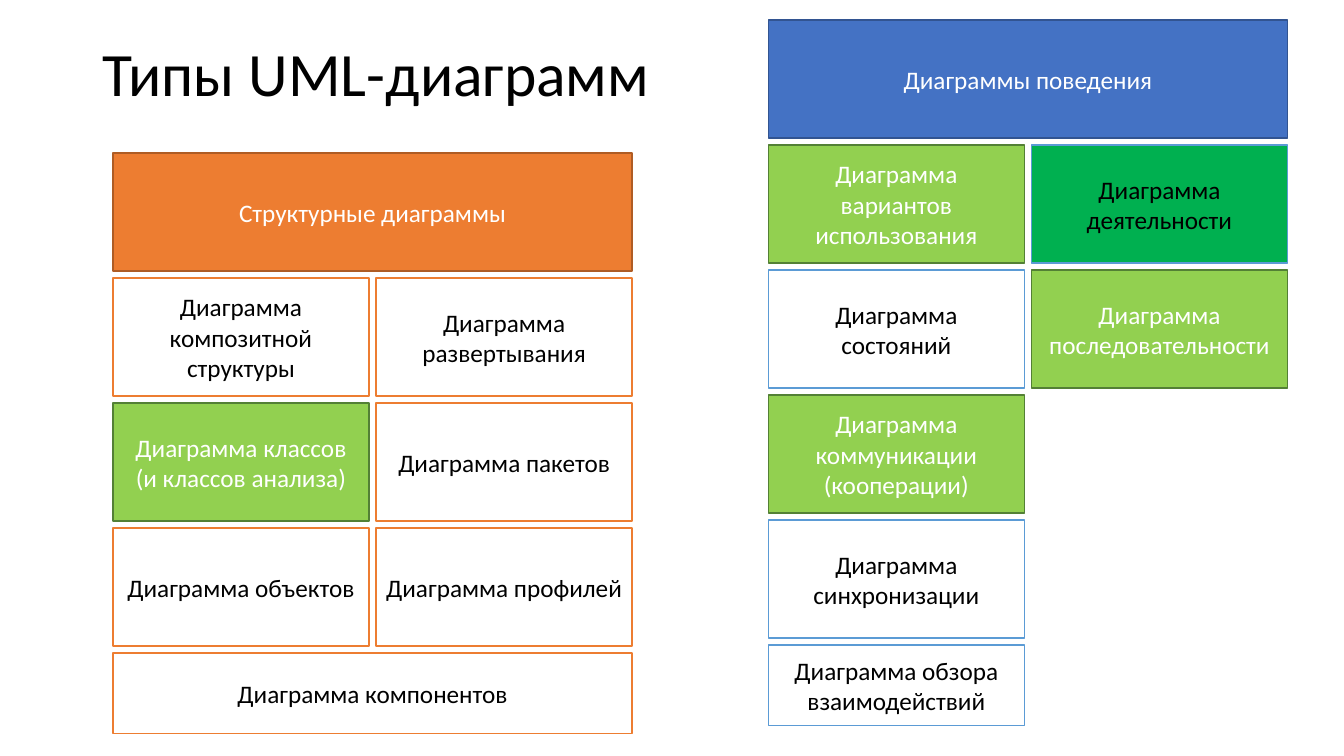
import pptx
import pptx.util
from pptx.dml.color import RGBColor
from pptx.enum.shapes import MSO_SHAPE
from pptx.enum.text import MSO_ANCHOR, MSO_AUTO_SIZE, PP_ALIGN

Inches = pptx.util.Inches
Pt = pptx.util.Pt

FONT = "Calibri"
BLACK = RGBColor(0x00, 0x00, 0x00)
WHITE = RGBColor(0xFF, 0xFF, 0xFF)
ORANGE = RGBColor(0xED, 0x7D, 0x31)
DARK_ORANGE = RGBColor(0xAF, 0x5C, 0x24)
BLUE = RGBColor(0x44, 0x72, 0xC4)
DARK_BLUE = RGBColor(0x32, 0x54, 0x91)
LIGHT_BLUE = RGBColor(0x5B, 0x9B, 0xD5)
LIME = RGBColor(0x92, 0xD0, 0x50)
DARK_LIME = RGBColor(0x53, 0x80, 0x35)
GREEN = RGBColor(0x00, 0xB0, 0x50)

# Box styles: fill, outline, text
STRUCTURE_HEADER = (ORANGE, DARK_ORANGE, WHITE)
STRUCTURE = (WHITE, ORANGE, BLACK)
BEHAVIOR_HEADER = (BLUE, DARK_BLUE, WHITE)
BEHAVIOR = (WHITE, LIGHT_BLUE, BLACK)
ACTIVITY = (GREEN, LIGHT_BLUE, BLACK)
HIGHLIGHT = (LIME, DARK_LIME, WHITE)

# Grid in inches
CELL_WIDTH = 2.54
ROW_HEIGHT = 1.17
LAST_ROW_HEIGHT = 0.8
GAP = 0.07

# Each row lists its boxes as (text, style, columns spanned)
STRUCTURE_ROWS = [
    [("Структурные диаграммы", STRUCTURE_HEADER, 2)],
    [("Диаграмма композитной структуры", STRUCTURE, 1),
     ("Диаграмма развертывания", STRUCTURE, 1)],
    [("Диаграмма классов (и классов анализа)", HIGHLIGHT, 1),
     ("Диаграмма пакетов", STRUCTURE, 1)],
    [("Диаграмма объектов", STRUCTURE, 1),
     ("Диаграмма профилей", STRUCTURE, 1)],
    [("Диаграмма компонентов", STRUCTURE, 2)],
]
BEHAVIOR_ROWS = [
    [("Диаграммы поведения", BEHAVIOR_HEADER, 2)],
    [("Диаграмма вариантов использования", HIGHLIGHT, 1),
     ("Диаграмма деятельности", ACTIVITY, 1)],
    [("Диаграмма состояний", BEHAVIOR, 1),
     ("Диаграмма последовательности", HIGHLIGHT, 1)],
    [("Диаграмма коммуникации (кооперации)", HIGHLIGHT, 1)],
    [("Диаграмма синхронизации", BEHAVIOR, 1)],
    [("Диаграмма обзора взаимодействий", BEHAVIOR, 1)],
]


def format_paragraph(paragraph, size, color, alignment):
    paragraph.alignment = alignment
    paragraph.font.name = FONT
    paragraph.font.size = Pt(size)
    paragraph.font.color.rgb = color


def add_title(slide, left, top, width, height):
    title = slide.shapes.title
    title.left, title.top = Inches(left), Inches(top)
    title.width, title.height = Inches(width), Inches(height)
    frame = title.text_frame
    frame.text = "Типы UML-диаграмм"
    frame.auto_size = MSO_AUTO_SIZE.NONE
    frame.vertical_anchor = MSO_ANCHOR.MIDDLE
    heading = frame.paragraphs[0]
    heading.line_spacing = 0.9
    format_paragraph(heading, 44, BLACK, PP_ALIGN.LEFT)


def add_diagram_box(slide, left, top, width, height, text, style):
    fill, outline, text_color = style
    box = slide.shapes.add_shape(
        MSO_SHAPE.RECTANGLE,
        Inches(left), Inches(top), Inches(width), Inches(height))
    box.shadow.inherit = False
    box.fill.solid()
    box.fill.fore_color.rgb = fill
    box.line.color.rgb = outline
    box.line.width = Pt(1)
    frame = box.text_frame
    frame.word_wrap = True
    frame.vertical_anchor = MSO_ANCHOR.MIDDLE
    frame.text = text
    format_paragraph(frame.paragraphs[0], 18, text_color, PP_ALIGN.CENTER)


def add_diagram_group(slide, left, top, rows):
    """Stack the rows from the given corner; the last row is lower."""
    for row_index, row in enumerate(rows):
        is_last = row_index == len(rows) - 1
        height = LAST_ROW_HEIGHT if is_last else ROW_HEIGHT
        row_top = top + row_index * (ROW_HEIGHT + GAP)
        for column, (text, style, span) in enumerate(row):
            width = span * CELL_WIDTH + (span - 1) * GAP
            cell_left = left + column * (CELL_WIDTH + GAP)
            add_diagram_box(slide, cell_left, row_top, width, height,
                            text, style)


def main():
    presentation = pptx.Presentation()
    presentation.slide_width = Inches(13.33)
    presentation.slide_height = Inches(7.5)
    slide = presentation.slides.add_slide(presentation.slide_layouts[5])

    # Heading
    add_title(slide, 0.92, 0.03, 11.5, 1.45)
    # Structure diagrams on the left, behavior diagrams on the right
    add_diagram_group(slide, 1.12, 1.52, STRUCTURE_ROWS)
    add_diagram_group(slide, 7.62, 0.2, BEHAVIOR_ROWS)

    presentation.save("out.pptx")


if __name__ == "__main__":
    main()
